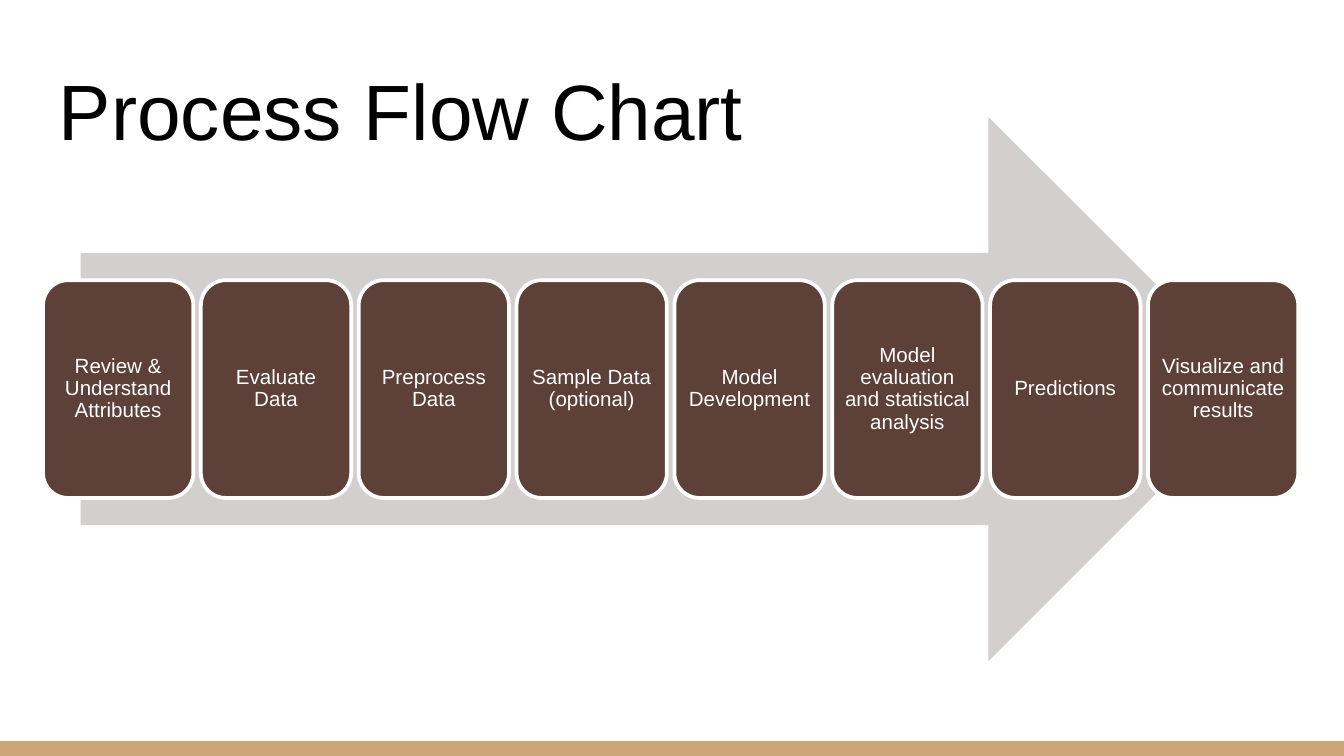
from dataclasses import dataclass

from pptx import Presentation
from pptx.dml.color import RGBColor
from pptx.enum.shapes import MSO_SHAPE as Preset
from pptx.enum.text import MSO_ANCHOR as Anchor, PP_ALIGN as Align
from pptx.util import Inches, Pt


@dataclass(frozen=True)
class Theme:
    font: str = "Arial"
    ink: str = "000000"
    paper: str = "FFFFFF"
    step: str = "5D4037"
    arrow: str = "D2CFCE"
    footer: str = "CCA677"
    title_size: int = 42
    step_size: int = 11
    outline: int = 2


THEME = Theme()
WIDTH, HEIGHT = 10, 10 * 9 / 16
STEPS = [
    "Review & Understand Attributes",
    "Evaluate Data",
    "Preprocess Data",
    "Sample Data (optional)",
    "Model Development",
    "Model evaluation and statistical analysis",
    "Predictions",
    "Visualize and communicate results",
]


def write_text(shape, text, size, color, align=Align.LEFT,
               anchor=Anchor.MIDDLE, inset=0.03, spacing=1.0):
    frame = shape.text_frame
    frame.word_wrap = True
    frame.vertical_anchor = anchor
    frame.margin_left = frame.margin_right = Inches(inset)
    frame.margin_top = frame.margin_bottom = Inches(inset)
    para = frame.paragraphs[0]
    para.alignment = align
    para.line_spacing = spacing
    span = para.add_run()
    span.text = text
    span.font.name = THEME.font
    span.font.size = Pt(size)
    span.font.color.rgb = RGBColor.from_string(color)


def add_block(page, preset, box, fill, line=None):
    shape = page.shapes.add_shape(preset, *map(Inches, box))
    shape.shadow.inherit = False
    shape.fill.solid()
    shape.fill.fore_color.rgb = RGBColor.from_string(fill)
    if line:
        shape.line.color.rgb = RGBColor.from_string(line)
        shape.line.width = Pt(THEME.outline)
    else:
        shape.line.fill.background()
    return shape


def add_title(page, box, text):
    title = page.shapes.add_textbox(*map(Inches, box))
    write_text(title, text, THEME.title_size, THEME.ink,
               anchor=Anchor.BOTTOM, inset=0.1)


def add_process(page, box, steps, gap_share=0.05):
    left, top, width, height = box
    arrow_width = width * 0.94
    add_block(page, Preset.RIGHT_ARROW,
              (left + (width - arrow_width) / 2, top, arrow_width, height),
              THEME.arrow)
    count = len(steps)
    step_width = width / (count + (count - 1) * gap_share)
    pitch = step_width * (1 + gap_share)
    step_height = height * 0.4
    step_top = top + (height - step_height) / 2
    for column, label in enumerate(steps):
        step = add_block(page, Preset.ROUNDED_RECTANGLE,
                         (left + column * pitch, step_top, step_width, step_height),
                         THEME.step, THEME.paper)
        write_text(step, label, THEME.step_size, THEME.paper,
                   align=Align.CENTER, spacing=0.9)


def build_deck():
    deck = Presentation()
    deck.slide_width, deck.slide_height = Inches(WIDTH), Inches(HEIGHT)
    page = deck.slides.add_slide(deck.slide_layouts[6])
    margin = 0.34
    content_width = WIDTH - 2 * margin
    footer_height = 0.11
    add_block(page, Preset.RECTANGLE,
              (0, HEIGHT - footer_height, WIDTH, footer_height), THEME.footer)
    add_title(page, (margin, 0.35, content_width, 0.91), "Process Flow Chart")
    add_process(page, (0.32, 0.87, 9.34, 4.05), STEPS)
    deck.save("out.pptx")


build_deck()
